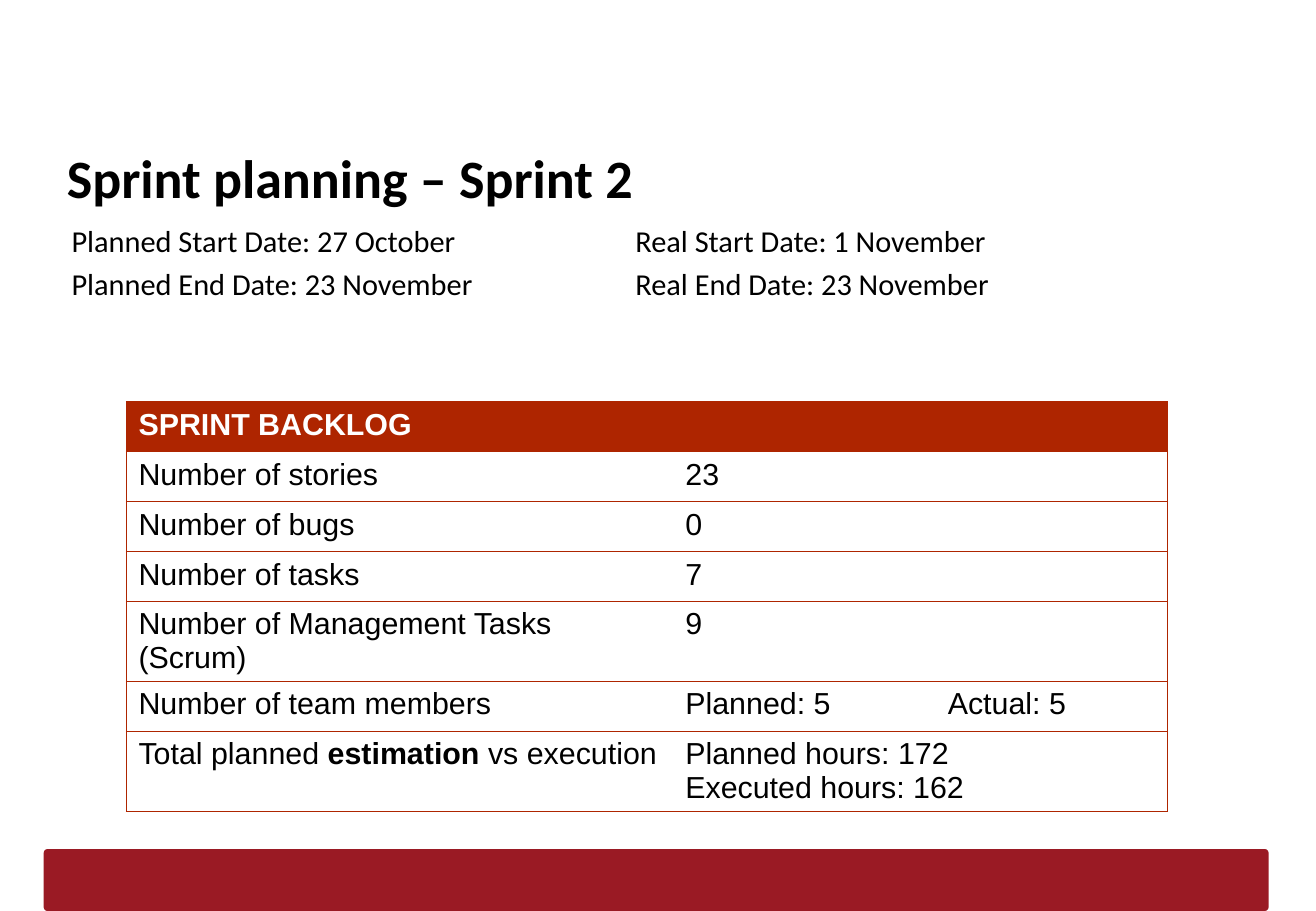
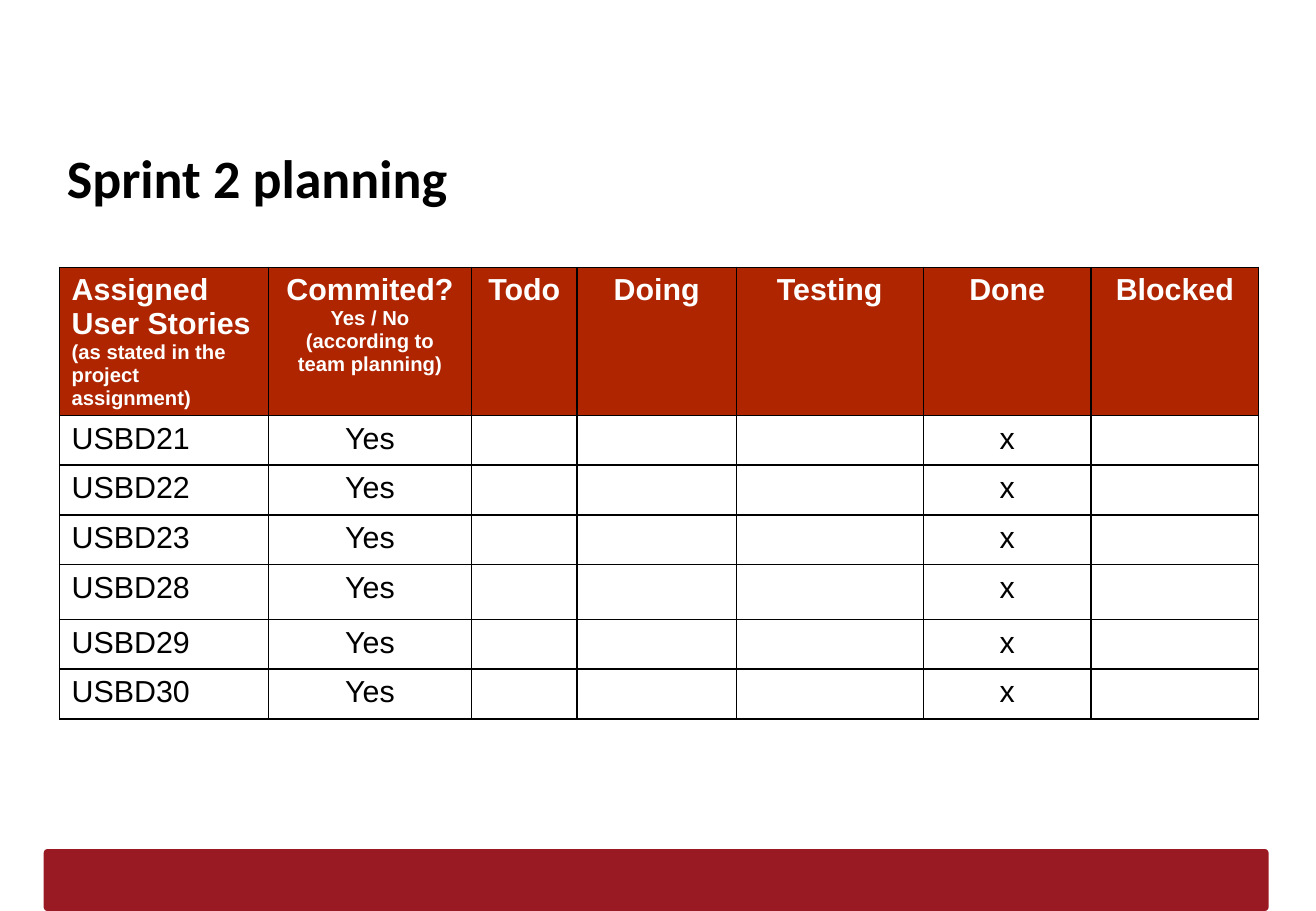
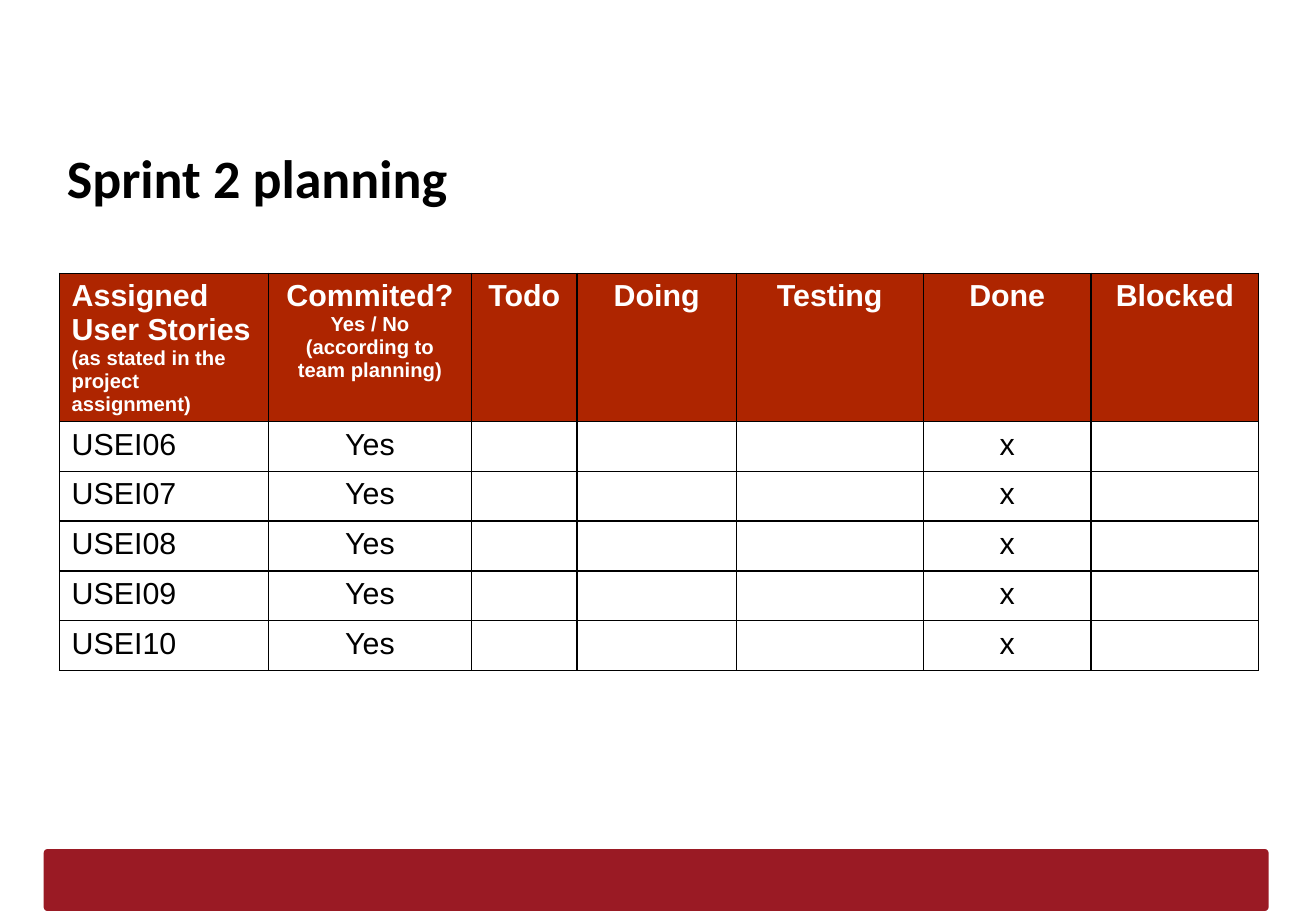
from lxml.etree import SubElement as Sub
from pptx import Presentation
from pptx.dml.color import RGBColor as RGB
from pptx.enum.shapes import MSO_SHAPE as Shape
from pptx.enum.text import MSO_ANCHOR as Anchor, MSO_AUTO_SIZE as Auto, PP_ALIGN as Align
from pptx.oxml.ns import qn
from pptx.util import Inches, Pt

HUES = {"band": "9A1A24", "rust": "AE2500", "ink": "000000", "white": "FFFFFF"}
SIDES = "LRTB"
BOARD = [1.72, 1.67, 0.87, 1.31, 1.54, 1.38, 1.38]
STAGES = ["Todo", "Doing", "Testing", "Done", "Blocked"]
HEADS = [
    [["Assigned User Stories ", ("(as stated in the project assignment)", {"size": Pt(12)})]],
    [["Commited?"], [("Yes / No (according to team planning)", {"size": Pt(12)})]],
] + STAGES


def hue(name):
    return RGB.from_string(HUES[name])


def style(font, face, size, tint="ink", bold=False):
    font.name, font.size, font.bold = face, Pt(size), bold
    font.color.rgb = hue(tint)


def tab(para, pos):
    """Add a left tab stop, pos inches from the text edge."""
    stops = Sub(para._p.get_or_add_pPr(), qn("a:tabLst"))
    Sub(stops, qn("a:tab"), pos=str(Inches(pos)), algn="l")


def write(frame, text, face="Arial", size=18, tint="ink", bold=False,
          align=Align.LEFT, stop=None, after=None):
    """Fill a frame from a string, or from paragraphs given as lists of runs."""
    lines = [[line] for line in text.split("\n")] if isinstance(text, str) else text
    for i, runs in enumerate(lines):
        para = frame.add_paragraph() if i else frame.paragraphs[0]
        para.alignment = align
        if after:
            para.space_after = Pt(after)
        if stop:
            tab(para, stop)
        style(para.font, face, size, tint, bold)
        for part in runs:
            words, extra = (part, {}) if isinstance(part, str) else part
            run = para.add_run()
            run.text = words
            for key, value in extra.items():
                setattr(run.font, key, value)


def edge(cell, sides, tint, width):
    """Draw the named cell sides and clear the others."""
    props = cell._tc.get_or_add_tcPr()
    for side in SIDES:
        line = Sub(props, qn("a:ln" + side), w=str(Pt(width)))
        if side in sides:
            Sub(Sub(line, qn("a:solidFill")), qn("a:srgbClr"), val=HUES[tint])
        else:
            Sub(line, qn("a:noFill"))


def grid(slide, left, top, cols, rows, highs, sides, tint, width, mid=False, stop=None):
    """Table with a rust header; sides(col) tells which borders to draw."""
    table = slide.shapes.add_table(
        len(rows), len(cols), Inches(left), Inches(top),
        Inches(sum(cols)), Inches(sum(highs))).table
    table.horz_banding = False
    for col, wide in zip(table.columns, cols):
        col.width = Inches(wide)
    for r, (row, high) in enumerate(zip(rows, highs)):
        table.rows[r].height = Inches(high)
        for c, text in enumerate(row):
            cell = table.cell(r, c)
            edge(cell, sides(c), tint, width)
            if r:
                cell.fill.background()
            else:
                cell.fill.solid()
                cell.fill.fore_color.rgb = hue("rust")
            write(cell.text_frame, text, tint="ink" if r else "white", bold=not r,
                  align=Align.CENTER if mid and c else Align.LEFT,
                  stop=stop if "\t" in text else None)


def band(slide, layout):
    """Draw the bottom band, then move it to the layout all slides share."""
    bar = slide.shapes.add_shape(
        Shape.ROUNDED_RECTANGLE, Inches(0.36), Inches(6.99), Inches(10.08), Inches(0.51))
    bar.adjustments[0] = 0.06
    bar.shadow.inherit = False
    bar.fill.solid()
    bar.fill.fore_color.rgb = hue("band")
    bar.line.fill.background()
    layout.shapes.element.append(bar.element)


def page(deck, text, wide=10.08):
    """Add a slide with its title."""
    slide = deck.slides.add_slide(deck.slide_layouts[5])
    title = slide.shapes.title
    title.left, title.top = Inches(0.45), Inches(1.09)
    title.width, title.height = Inches(wide), Inches(0.63)
    frame = title.text_frame
    frame.auto_size, frame.word_wrap = Auto.NONE, True
    frame.vertical_anchor = Anchor.TOP
    frame.margin_left = frame.margin_right = Inches(0.1)
    frame.margin_top = frame.margin_bottom = Inches(0.1)
    write(frame, text, "Calibri", 32, bold=True)
    return slide


def dates(slide, text):
    box = slide.shapes.add_textbox(Inches(0.49), Inches(1.78), Inches(9.89), Inches(0.78))
    box.text_frame.word_wrap = True
    write(box.text_frame, text, "Calibri", stop=4.64, after=4)


def board(deck, top, codes, highs):
    """Slide with the status of each user story; all of them are done."""
    marks = ["x" if stage == "Done" else "" for stage in STAGES]
    rows = [HEADS] + [[code, "Yes"] + marks for code in codes]
    grid(page(deck, "Sprint 2 planning"), 0.49, top, BOARD, rows, highs,
         lambda c: SIDES, "ink", 1, mid=True)


def main():
    deck = Presentation()
    deck.slide_width, deck.slide_height = Inches(10.83), Inches(7.5)

    # Sprint summary
    first = page(deck, "Sprint planning – Sprint 2", 9.89)
    band(first, deck.slide_layouts[5])
    rows = [
        ["SPRINT BACKLOG", ""],
        ["Number of stories", "23"],
        ["Number of bugs", "0"],
        ["Number of tasks", "7"],
        ["Number of Management Tasks (Scrum)", "9"],
        ["Number of team members", "Planned: 5\tActual: 5"],
        [[["Total planned ", ("estimation", {"bold": True}), " vs execution"]],
         "Planned hours: 172\nExecuted hours: 162"],
    ]
    grid(first, 1.04, 3.31, [4.5, 4.07], rows, [0.41] * 7,
         lambda c: "TB" + "LR"[c], "rust", 0.75, stop=2.16)
    dates(first, "Planned Start Date: 27 October\tReal Start Date: 1 November\n"
                 "Planned End Date: 23 November\tReal End Date: 23 November")

    # Story boards
    board(deck, 2.2, [f"USBD{n}" for n in (21, 22, 23, 28, 29, 30)],
          [0.41] * 4 + [0.45] + [0.41] * 2)
    board(deck, 2.25, [f"USEI{n:02}" for n in range(6, 11)], [0.41] * 6)

    deck.save("out.pptx")


if __name__ == "__main__":
    main()
